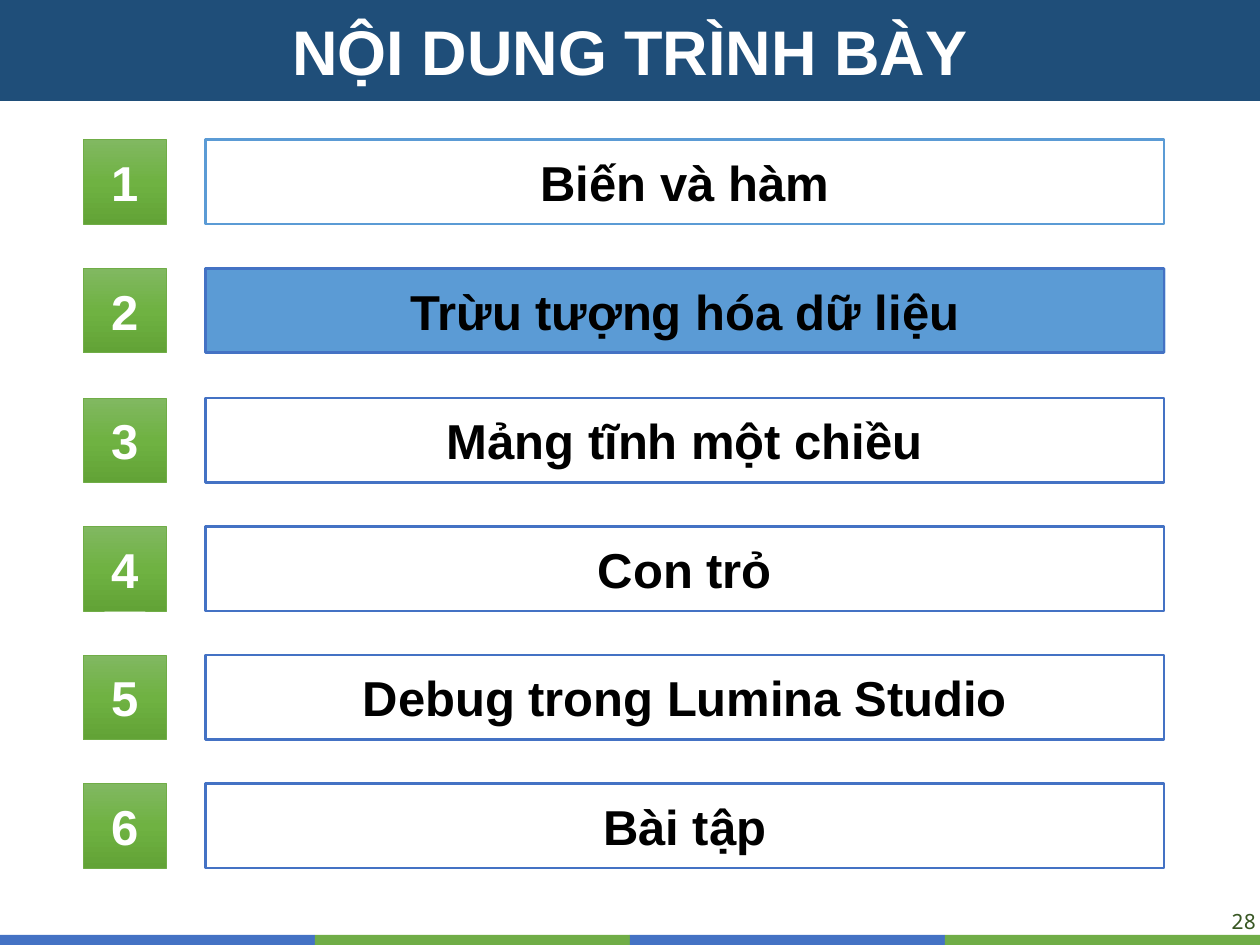
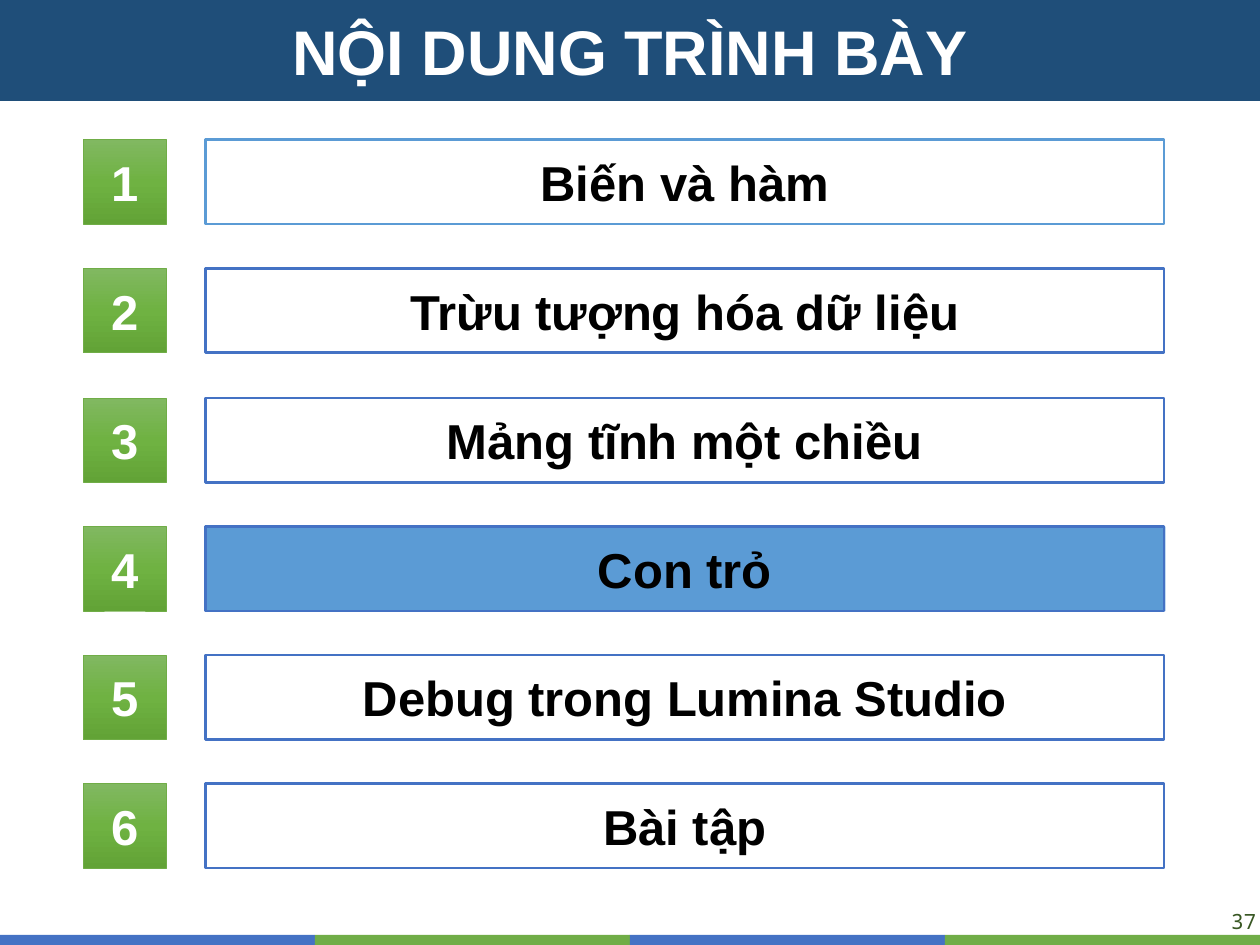
"""Builds two agenda slides, each highlighting the section that comes next."""
from copy import deepcopy
from dataclasses import dataclass

from pptx import Presentation
from pptx.dml.color import RGBColor
from pptx.enum.shapes import MSO_SHAPE
from pptx.enum.text import MSO_ANCHOR, MSO_AUTO_SIZE, PP_ALIGN
from pptx.oxml.ns import qn
from pptx.util import Pt

RECTANGLE = MSO_SHAPE.RECTANGLE
MIDDLE, TOP = MSO_ANCHOR.MIDDLE, MSO_ANCHOR.TOP
CENTER, RIGHT = PP_ALIGN.CENTER, PP_ALIGN.RIGHT
NO_AUTOFIT = MSO_AUTO_SIZE.NONE
PX = 9144


@dataclass(frozen=True)
class Theme:
    navy: str = "1F4E79"
    blue: str = "4472C4"
    sky: str = "5B9BD5"
    green: str = "70AD47"
    dark_green: str = "385723"
    white: str = "FFFFFF"
    black: str = "000000"
    badge_stops: tuple = ((0, "81B861"), (0.5, "6FB242"), (1, "62A336"))
    font: str = "Arial"
    number_font: str = "Noto Sans Mono"
    title_size: int = 36
    item_size: int = 28
    number_size: int = 12


THEME = Theme()
TITLE = "NỘI DUNG TRÌNH BÀY"
SECTIONS = [
    "Biến và hàm",
    "Trừu tượng hóa dữ liệu",
    "Mảng tĩnh một chiều",
    "Con trỏ",
    "Debug trong Lumina Studio",
    "Bài tập",
]
AGENDA_PAGES = [(28, 2), (37, 4)]

SLIDE_WIDTH, SLIDE_HEIGHT = 1000, 750
STRIP_WIDTH, STRIP_HEIGHT = 250, 8
ROW_TOP, ROW_PITCH, ROW_HEIGHT = 111, 102.28, 67
BADGE_LEFT, BADGE_WIDTH = 66, 66
LABEL_LEFT, LABEL_WIDTH, HIGHLIGHT_WIDTH = 163, 761, 762


def add_rectangle(page, left, top, width, height, fill=None, line=None, weight=1.5):
    box = page.shapes.add_shape(RECTANGLE, left * PX, top * PX, width * PX, height * PX)
    box.shadow.inherit = False
    if fill:
        box.fill.solid()
        box.fill.fore_color.rgb = RGBColor.from_string(fill)
    else:
        box.fill.background()
    if line:
        box.line.color.rgb = RGBColor.from_string(line)
        box.line.width = Pt(weight)
    else:
        box.line.fill.background()
    return box


def write(box, text, size, color, font=THEME.font, bold=True, align=CENTER, anchor=MIDDLE):
    frame = box.text_frame
    frame.word_wrap = True
    frame.auto_size = NO_AUTOFIT
    frame.vertical_anchor = anchor
    frame.text = text
    para = frame.paragraphs[0]
    para.alignment = align
    para.font.name = font
    para.font.size = Pt(size)
    para.font.bold = bold
    para.font.color.rgb = RGBColor.from_string(color)


deck = Presentation()
deck.slide_width, deck.slide_height = SLIDE_WIDTH * PX, SLIDE_HEIGHT * PX
title_only = deck.slide_layouts[5]

for page_number, current in AGENDA_PAGES:
    page = deck.slides.add_slide(title_only)

    title = page.shapes.title
    title.left, title.top = 0, 0
    title.width, title.height = SLIDE_WIDTH * PX, 80 * PX
    title.fill.solid()
    title.fill.fore_color.rgb = RGBColor.from_string(THEME.navy)
    write(title, TITLE, THEME.title_size, THEME.white)

    for index, color in enumerate((THEME.blue, THEME.green) * 2):
        add_rectangle(page, index * STRIP_WIDTH, SLIDE_HEIGHT - STRIP_HEIGHT,
                      STRIP_WIDTH, STRIP_HEIGHT, color)

    number_box = page.shapes.add_textbox(869 * PX, 721 * PX, 131 * PX, 20 * PX)
    number_frame = number_box.text_frame
    number_frame.margin_left = number_frame.margin_right = 3 * PX
    number_frame.margin_top = number_frame.margin_bottom = 0
    write(number_box, str(page_number), THEME.number_size, THEME.dark_green,
          THEME.number_font, bold=False, align=RIGHT, anchor=TOP)

    for index, section in enumerate(SECTIONS):
        row_top = ROW_TOP + round(index * ROW_PITCH)
        if index + 1 == current:
            add_rectangle(page, LABEL_LEFT, row_top, HIGHLIGHT_WIDTH, ROW_HEIGHT, THEME.sky)

        badge = add_rectangle(page, BADGE_LEFT, row_top, BADGE_WIDTH, ROW_HEIGHT,
                              line=THEME.green, weight=0.5)
        badge.fill.gradient()
        badge.fill.gradient_angle = 270
        stop_list = badge.element.spPr.find(".//" + qn("a:gsLst"))
        stop_list.append(deepcopy(stop_list[-1]))
        for stop, (position, color) in zip(badge.fill.gradient_stops, THEME.badge_stops):
            stop.position = position
            stop.color.rgb = RGBColor.from_string(color)
        write(badge, str(index + 1), THEME.item_size, THEME.white)

        outline = THEME.blue if index else THEME.sky
        label = add_rectangle(page, LABEL_LEFT, row_top, LABEL_WIDTH, ROW_HEIGHT, line=outline)
        write(label, section, THEME.item_size, THEME.black)

deck.save("out.pptx")
